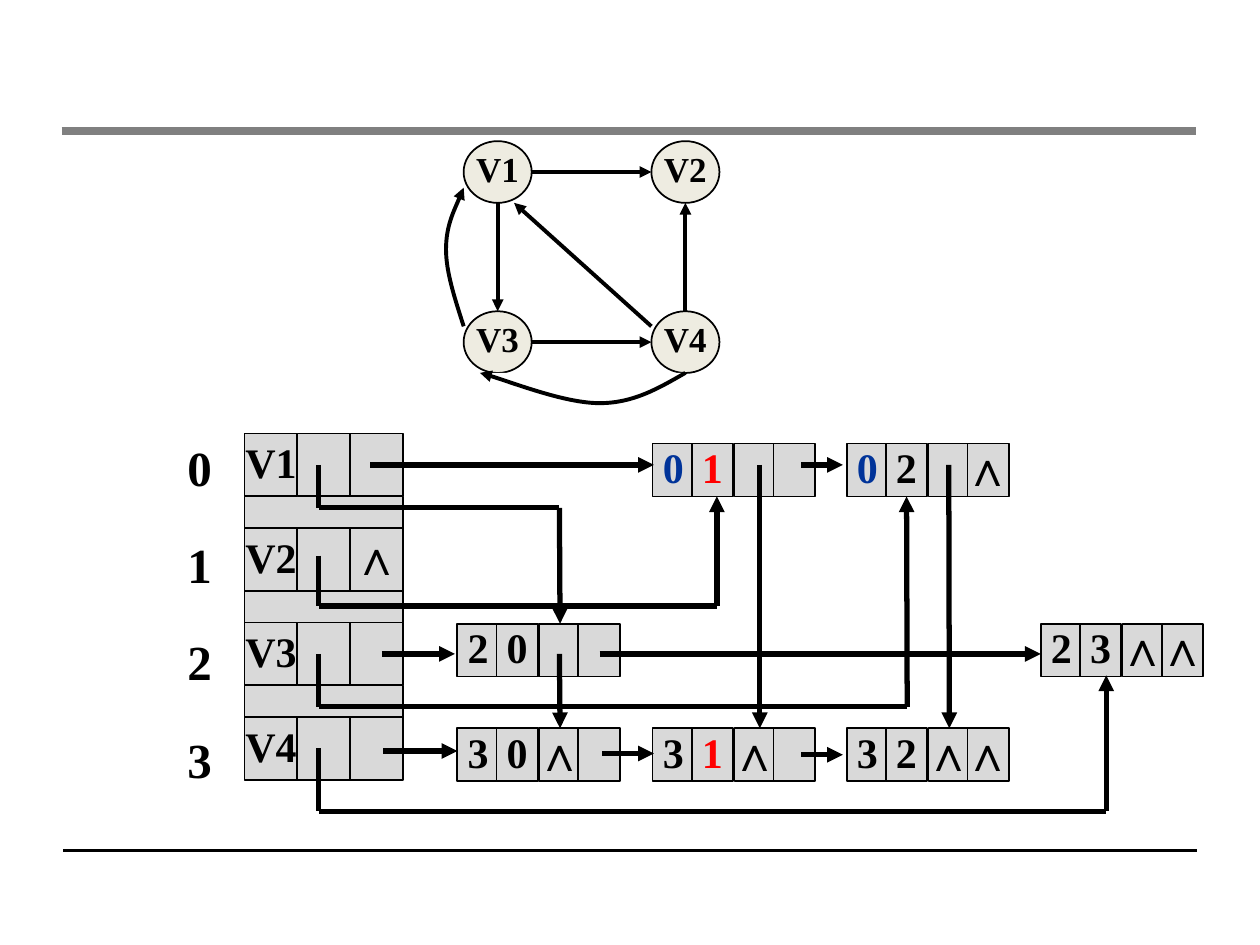
from pptx import Presentation
from pptx.dml.color import RGBColor
from pptx.enum.shapes import MSO_CONNECTOR, MSO_SHAPE
from pptx.enum.text import MSO_ANCHOR, PP_ALIGN
from pptx.oxml.ns import qn
from pptx.util import Inches, Pt
from lxml import etree

STRAIGHT = MSO_CONNECTOR.STRAIGHT
RECTANGLE, OVAL = MSO_SHAPE.RECTANGLE, MSO_SHAPE.OVAL
MIDDLE, TOP = MSO_ANCHOR.MIDDLE, MSO_ANCHOR.TOP
CENTER, RIGHT = PP_ALIGN.CENTER, PP_ALIGN.RIGHT
SITE_TOP, SITE_BOTTOM = 0, 2

FONT = "Times New Roman"
COLORS = {"black": "000000", "white": "FFFFFF", "cell": "D9D9D9", "vertex": "EEECE1",
          "rule": "808080", "blue": "003399", "red": "FF0000"}
NIL = "∧"


def rgb(name):
    return RGBColor.from_string(COLORS[name])


def write_text(shape, lines, size=24, color="black", align=CENTER, anchor=MIDDLE,
               wrap=False, gap=0):
    frame = shape.text_frame
    frame.word_wrap = wrap
    frame.vertical_anchor = anchor
    frame.margin_left = frame.margin_right = Inches(0.1)
    frame.margin_top, frame.margin_bottom = 0, Inches(0.05)
    for index, line in enumerate(lines):
        paragraph = frame.add_paragraph() if index else frame.paragraphs[0]
        paragraph.alignment = align
        paragraph.space_before = Pt(gap if index else 0)
        run = paragraph.add_run()
        run.text = line
        run.font.name, run.font.size, run.font.bold = FONT, Pt(size), True
        run.font.color.rgb = rgb(color)


def style_shape(shape, fill, width=1):
    shape.shadow.inherit = False
    shape.fill.solid()
    shape.fill.fore_color.rgb = rgb(fill)
    shape.line.color.rgb = rgb("black")
    shape.line.width = Pt(width)


def add_box(slide, kind, left, top, width, height, fill, text="", **text_format):
    shape = slide.shapes.add_shape(kind, Inches(left), Inches(top), Inches(width), Inches(height))
    style_shape(shape, fill)
    if text:
        write_text(shape, [text], **text_format)
    return shape


def add_arrowhead(shape):
    etree.SubElement(shape.line._get_or_add_ln(), qn("a:tailEnd"), type="triangle")


def add_line(slide, start, end, width=3, color="black", arrow=False):
    line = slide.shapes.add_connector(STRAIGHT, *(Inches(value) for value in (*start, *end)))
    line.line.color.rgb = rgb(color)
    line.line.width = Pt(width)
    if arrow:
        add_arrowhead(line)
    etree.SubElement(line._element.spPr, qn("a:effectLst"))
    return line


def add_route(slide, points, cell=None, site=None):
    """Draw straight legs through the points, with an arrowhead on the last."""
    for index in range(1, len(points)):
        line = add_line(slide, points[index - 1], points[index], arrow=index == len(points) - 1)
    if cell is not None:
        line.end_connect(cell, site)


def add_curve(slide, points):
    """Draw cubic curves: a start point, then two controls and an end for each."""
    builder = slide.shapes.build_freeform(*(Inches(value) for value in points[0]))
    builder.add_line_segments([(Inches(x), Inches(y)) for x, y in points[1:]], close=False)
    shape = builder.convert_to_shape()
    segments = list(shape._element.iter(qn("a:lnTo")))
    for index in range(0, len(segments), 3):
        curve = etree.Element(qn("a:cubicBezTo"))
        segments[index].addprevious(curve)
        for segment in segments[index:index + 3]:
            curve.append(segment[0])
            segment.getparent().remove(segment)
    style_shape(shape, "white", 2.25)
    add_arrowhead(shape)


def add_graph(slide, left, top):
    """Directed graph of four vertices."""
    width, height, column, row = 0.54, 0.49, 1.49, 1.35
    middle, center = height / 2, width / 2
    for index in range(4):
        add_box(slide, OVAL, left + index % 2 * column, top + index // 2 * row,
                width, height, "vertex", f"V{index + 1}", size=20)
    edges = [
        ((width, middle), (column, middle)),
        ((column + center, row), (column + center, height)),
        ((column, 1.47), (0.4, height)),
        ((width, row + middle), (column, row + middle)),
        ((center, height), (center, row)),
    ]
    for start, end in edges:
        add_line(slide, (left + start[0], top + start[1]), (left + end[0], top + end[1]),
                 width=2.25, arrow=True)
    curves = [
        [(0, 1.47), (-0.07, 1.25), (-0.14, 1.04), (-0.14, 0.86),
         (-0.14, 0.67), (-0.03, 0.45), (0, 0.37)],
        [(1.76, 1.84), (1.55, 1.96), (1.35, 2.08), (1.08, 2.08),
         (0.81, 2.08), (0.29, 1.88), (0.13, 1.84)],
    ]
    for points in curves:
        add_curve(slide, [(left + x, top + y) for x, y in points])


def add_vertex_table(slide, left, top):
    """Head nodes: vertex name, first incoming arc, first outgoing arc."""
    width, height, gap = 0.42, 0.5, 0.25
    for index, last in enumerate(["", NIL, "", ""]):
        row_top = top + index * (height + gap)
        add_box(slide, RECTANGLE, left + width, row_top, width, height, "cell")
        add_box(slide, RECTANGLE, left + 2 * width, row_top, width, height, "cell", last, size=28)
        if index < 3:
            add_box(slide, RECTANGLE, left, row_top + height, 3 * width, gap, "cell")
        add_box(slide, RECTANGLE, left, row_top, width, height, "cell", f"V{index + 1}")


def add_index_labels(slide, left, top, width, height):
    box = slide.shapes.add_textbox(Inches(left), Inches(top), Inches(width), Inches(height))
    write_text(box, "0123", size=28, align=RIGHT, anchor=TOP, wrap=True, gap=22)


def add_arc_node(slide, left, top, texts, colors=("black", "black")):
    """Arc node: tail, head, next incoming arc, next outgoing arc."""
    cells = []
    for offset, text, color in zip((0, 0.31, 0.65, 0.96), texts, (*colors, "black", "black")):
        cells.append(add_box(slide, RECTANGLE, left + offset, top, 0.33, 0.42, "cell", text,
                             size=28 if text == NIL else 24, color=color))
    return cells


def add_arc_lists(slide):
    first, second, third, fourth = 3.63, 5.18, 6.72, 8.26
    row_0, row_2, row_3 = 3.52, 4.95, 5.78
    node_20 = add_arc_node(slide, first, row_2, ["2", "0", "", ""])
    node_30 = add_arc_node(slide, first, row_3, ["3", "0", NIL, ""])
    add_arc_node(slide, second, row_3, ["3", "1", NIL, ""], ("black", "red"))
    node_32 = add_arc_node(slide, third, row_3, ["3", "2", NIL, NIL])
    add_arc_node(slide, fourth, row_2, ["2", "3", NIL, NIL])
    add_arc_node(slide, second, row_0, ["0", "1", "", ""], ("blue", "red"))
    node_02 = add_arc_node(slide, third, row_0, ["0", "2", "", NIL], ("blue", "black"))

    # Outgoing links, along the rows
    for start, end, y in [(2.94, 5.19, 3.69), (6.36, 6.69, 3.69), (3.03, 3.61, 5.19),
                          (4.76, 8.26, 5.19), (3.04, 3.63, 5.96), (4.78, 5.19, 5.98),
                          (6.36, 6.69, 5.99)]:
        add_route(slide, [(start, y), (end, y)])

    # Incoming links, from the table down and across
    for start_y, turn_y, x, end_y, cell, site in [
            (3.69, 4.03, 4.44, row_2, node_20[2], SITE_TOP),
            (4.41, 4.81, 5.69, 3.94, None, None),
            (5.19, 5.61, 7.2, 3.94, node_02[1], SITE_BOTTOM),
            (5.94, 6.44, 8.78, 5.36, None, None)]:
        add_route(slide, [(2.53, start_y), (2.53, turn_y), (x, turn_y), (x, end_y)], cell, site)

    # Incoming links, between arc nodes
    for x, start_y, cell in [(6.03, 3.69, None), (7.53, 3.69, node_32[2]),
                             (4.44, 5.19, node_30[2])]:
        add_route(slide, [(x, start_y), (x, row_3)], cell, SITE_TOP)


def main():
    presentation = Presentation()
    presentation.slide_width, presentation.slide_height = Inches(10), Inches(7.5)
    slide = presentation.slides.add_slide(presentation.slide_layouts[6])

    # Page rules
    add_line(slide, (0.5, 6.75), (9.5, 6.75), width=2)
    add_line(slide, (0.49, 1.04), (9.49, 1.04), width=5, color="rule")

    add_graph(slide, 3.68, 1.12)
    add_vertex_table(slide, 1.94, 3.44)
    add_arc_lists(slide)
    add_index_labels(slide, 1.36, 3.47, 0.42, 2.79)
    presentation.save("out.pptx")


if __name__ == "__main__":
    main()
